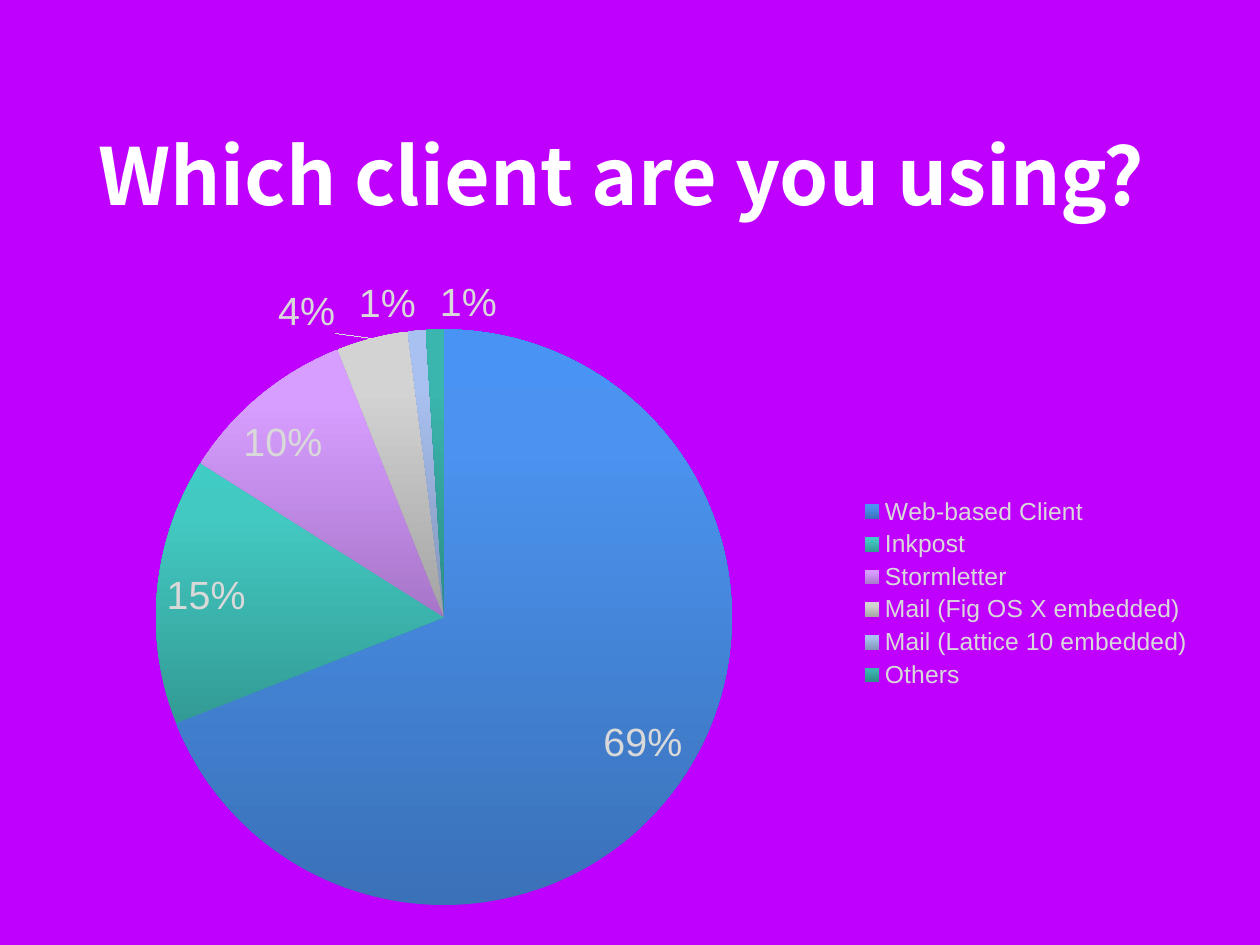
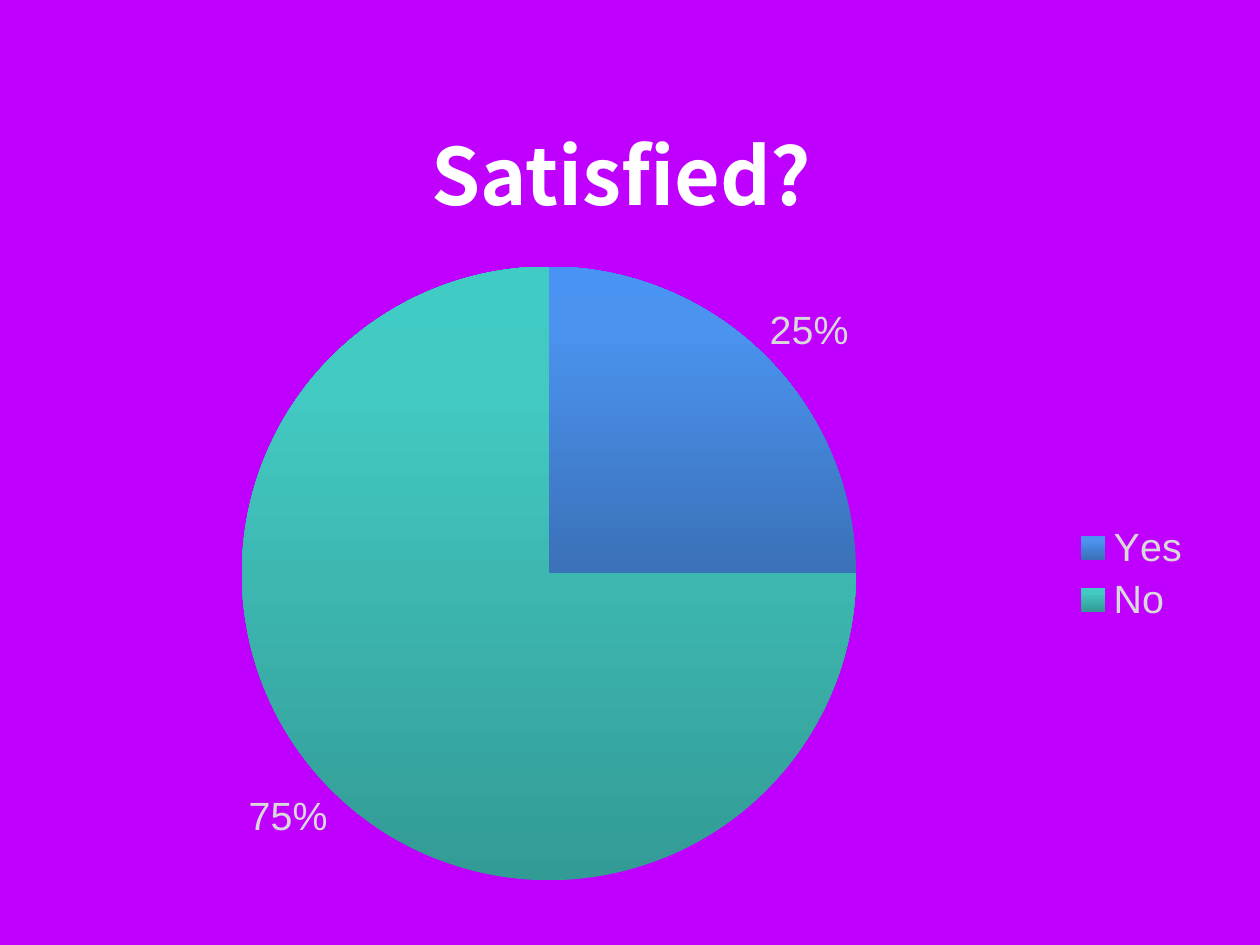
from copy import deepcopy

from lxml import etree
from pptx import Presentation
from pptx.chart.data import CategoryChartData
from pptx.dml.color import RGBColor
from pptx.enum import chart as ch, text
from pptx.oxml import ns
from pptx.util import Inches, Pt

COLORS = {"background": "BF00FF", "title": "FFFFFF", "chart": "FFFFFF", "label": "D9D9D9"}
GRADIENTS = [
    ("3A71B8", "4B93EF", "4893F3"),
    ("339B95", "42C9C1", "40CCC4"),
    ("A675C8", "D79DFF", "D79FFF"),
    ("A3A3A3", "D3D3D3", "D4D4D4"),
    ("8295B9", "A9C1F0", "A9C2F2"),
    ("2D8C86", "3AB6AE", "38B9B1"),
]
STOPS = (0, 0.8, 1)
TITLE_FONT, CHART_FONT = "Noto Sans CJK SC", "Arial"
CHART_LEFT, CHART_WIDTH, CHART_HEIGHT = 0.34, 13.23, 7.34


def set_font(font, name, size, color, bold=False):
    font.name, font.size, font.bold = name, Pt(size), bold
    font.color.rgb = RGBColor.from_string(COLORS[color])


def add_title(slide, words):
    sp = slide.shapes.title
    sp.left, sp.top, sp.width, sp.height = map(Inches, (0.73, 1.34, 12.56, 1.16))
    tf = sp.text_frame
    tf.margin_left = tf.margin_top = tf.margin_right = tf.margin_bottom = 0
    tf.vertical_anchor = text.MSO_ANCHOR.BOTTOM
    tf.auto_size = text.MSO_AUTO_SIZE.NONE
    p = tf.paragraphs[0]
    p.alignment = text.PP_ALIGN.CENTER
    r = p.add_run()
    r.text = words
    set_font(r.font, TITLE_FONT, 64, "title", True)


def fill_slice(point, colors):
    fill = point.format.fill
    fill.gradient()
    fill.gradient_angle = 90
    first = fill.gradient_stops[0]._gs
    first.getparent().append(deepcopy(first))
    for stop, position, color in zip(fill.gradient_stops, STOPS, colors):
        stop.position = position
        stop.color.rgb = RGBColor.from_string(color)
    point.format.line.fill.background()


def place_pie(chart, left, top, diameter):
    area = chart._chartSpace.find(".//" + ns.qn("c:plotArea"))
    for old in area.findall(ns.qn("c:layout")):
        area.remove(old)
    layout = etree.Element(ns.qn("c:layout"))
    manual = etree.SubElement(layout, ns.qn("c:manualLayout"))
    settings = [
        ("layoutTarget", "inner"), ("xMode", "edge"), ("yMode", "edge"),
        ("x", left / CHART_WIDTH), ("y", top / CHART_HEIGHT),
        ("w", diameter / CHART_WIDTH), ("h", diameter / CHART_HEIGHT),
    ]
    for tag, value in settings:
        etree.SubElement(manual, ns.qn("c:" + tag)).set("val", str(value))
    area.insert(0, layout)


def add_pie(slide, top, answers, pie, legend_size, label_position):
    data = CategoryChartData()
    data.categories = list(answers)
    data.add_series("Series 1", list(answers.values()))
    box = map(Inches, (CHART_LEFT, top, CHART_WIDTH, CHART_HEIGHT))
    chart = slide.shapes.add_chart(ch.XL_CHART_TYPE.PIE, *box, data).chart
    chart.has_title = False
    set_font(chart.font, CHART_FONT, 10, "chart")
    chart.has_legend = True
    chart.legend.position = ch.XL_LEGEND_POSITION.RIGHT
    chart.legend.include_in_layout = False
    set_font(chart.legend.font, CHART_FONT, legend_size, "label")

    plot = chart.plots[0]
    plot.vary_by_categories = True
    for i, colors in enumerate(GRADIENTS[:len(answers)]):
        fill_slice(plot.series[0].points[i], colors)
    plot.has_data_labels = True
    labels = plot.data_labels
    labels.show_value, labels.show_percentage = False, True
    labels.number_format, labels.number_format_is_linked = "0%", False
    labels.position = label_position
    set_font(labels.font, CHART_FONT, 32, "label")
    place_pie(chart, *pie)


def main():
    prs = Presentation()
    prs.slide_width, prs.slide_height = Inches(14.22), Inches(10.67)
    fill = prs.slide_master.background.fill
    fill.solid()
    fill.fore_color.rgb = RGBColor.from_string(COLORS["background"])
    title_only = prs.slide_layouts[5]

    clients = {
        "Web-based Client": 69,
        "Inkpost": 15,
        "Stormletter": 10,
        "Mail (Fig OS X embedded)": 4,
        "Mail (Lattice 10 embedded)": 1,
        "Others": 1,
    }
    s = prs.slides.add_slide(title_only)
    add_title(s, "Which client are you using?")
    add_pie(s, 3.03, clients, (1.42, 0.69, 6.5), 20, ch.XL_LABEL_POSITION.BEST_FIT)

    s = prs.slides.add_slide(title_only)
    add_title(s, "Satisfied?")
    add_pie(s, 2.81, {"Yes": 25, "No": 75}, (2.39, 0.2, 6.93), 32,
            ch.XL_LABEL_POSITION.OUTSIDE_END)

    prs.save("out.pptx")


if __name__ == "__main__":
    main()
